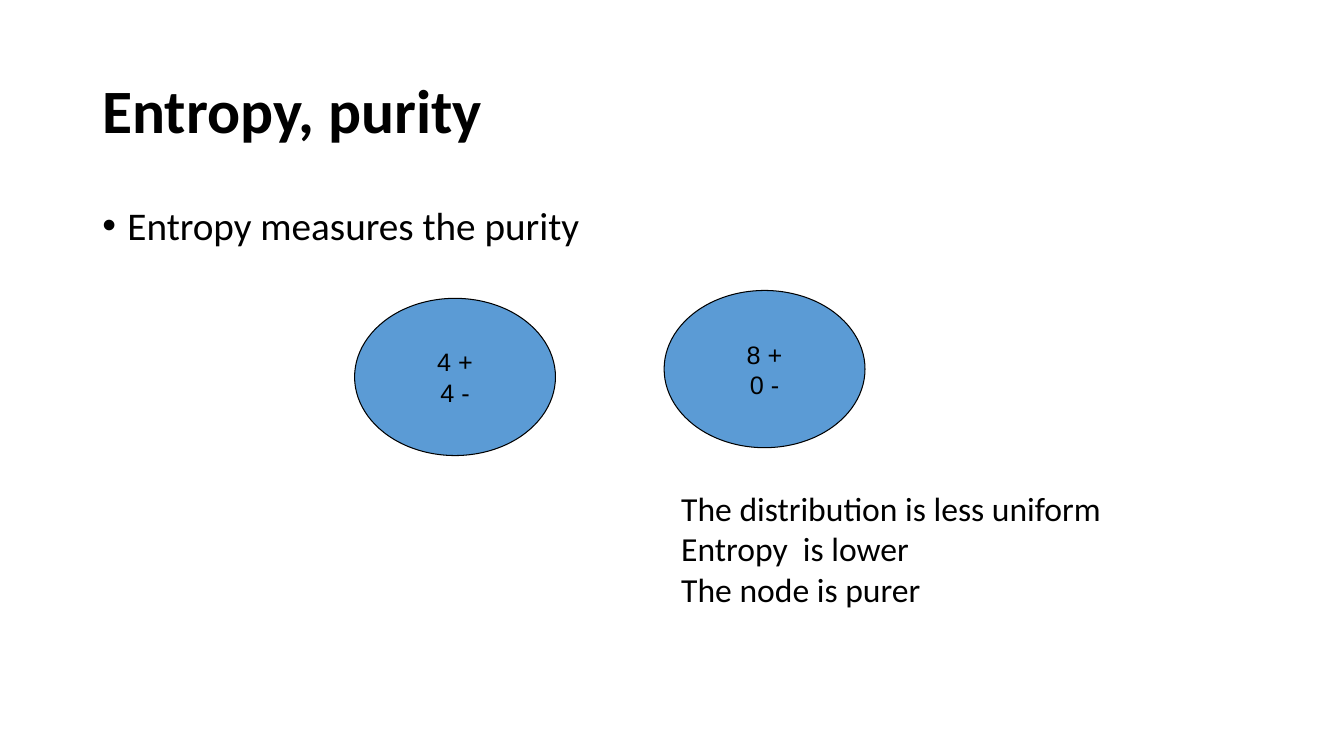
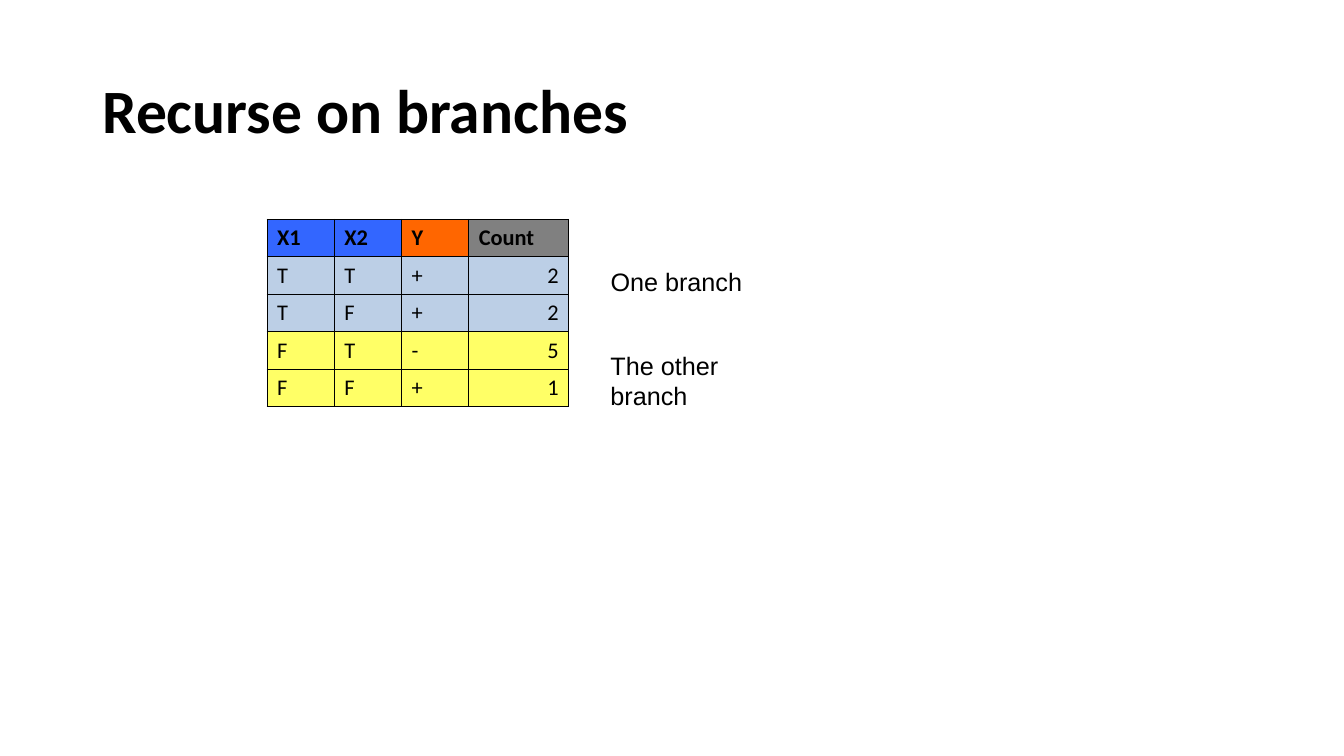
import dataclasses

import lxml.etree
import pptx
import pptx.dml.color
import pptx.enum.shapes
import pptx.enum.text
import pptx.oxml
import pptx.oxml.ns
import pptx.util

Pt = pptx.util.Pt
ALIGN = pptx.enum.text.PP_ALIGN
ANCHOR = pptx.enum.text.MSO_ANCHOR


@dataclasses.dataclass(frozen=True)
class Theme:
    ink: str = "000000"
    node: str = "5B9BD5"
    feature: str = "3366FF"
    label: str = "FF6600"
    count: str = "808080"
    first_branch: str = "BCCFE6"
    second_branch: str = "FFFF66"
    heading_font: str = "Calibri"
    note_font: str = "Arial"
    title_size: float = 44
    bullet_size: float = 28
    remark_size: float = 24
    note_size: float = 18
    table_size: float = 16
    outline: float = 0.75
    grid: float = 1


THEME = Theme()


def rgb(value):
    return pptx.dml.color.RGBColor.from_string(value)


def apply(target, values):
    for name, value in values.items():
        setattr(target, name, value)


def style_font(paragraph, face, size, bold=False):
    apply(paragraph.font, {"name": face, "size": Pt(size), "bold": bold})
    paragraph.font.color.rgb = rgb(THEME.ink)


def write_lines(frame, lines, face, size, bold=False, **paragraph_format):
    for index, line in enumerate(lines):
        paragraph = frame.paragraphs[0] if index == 0 else frame.add_paragraph()
        paragraph.text = line
        apply(paragraph, paragraph_format)
        style_font(paragraph, face, size, bold)


def add_text(slide, box, lines, face, size, bold=False, wrap=False,
             anchor=ANCHOR.TOP, **paragraph_format):
    frame = slide.shapes.add_textbox(*map(Pt, box)).text_frame
    apply(frame, {"word_wrap": wrap, "vertical_anchor": anchor})
    write_lines(frame, lines, face, size, bold, **paragraph_format)
    return frame


def add_titled_slide(deck, title):
    slide = deck.slides.add_slide(deck.slide_layouts[6])
    add_text(slide, (66, 28.8, 828, 104.4), [title], THEME.heading_font,
             THEME.title_size, bold=True, wrap=True, anchor=ANCHOR.MIDDLE,
             line_spacing=0.9)
    return slide


def add_bullet(slide, text):
    frame = slide.shapes.add_textbox(Pt(66), Pt(144), Pt(828), Pt(342.6)).text_frame
    frame.word_wrap = True
    properties = frame.paragraphs[0]._p.get_or_add_pPr()
    apply_indent = {"marL": Pt(18), "indent": -Pt(18)}
    for name, value in apply_indent.items():
        properties.set(name, str(int(value)))
    for tag, name, value in (("a:buFont", "typeface", "Arial"), ("a:buChar", "char", "•")):
        lxml.etree.SubElement(properties, pptx.oxml.ns.qn(tag)).set(name, value)
    write_lines(frame, [text], THEME.heading_font, THEME.bullet_size, line_spacing=0.9)


def add_node(slide, left, top, counts):
    node = slide.shapes.add_shape(pptx.enum.shapes.MSO_SHAPE.OVAL,
                                  Pt(left), Pt(top), Pt(143.5), Pt(112.3))
    node.shadow.inherit = False
    node.fill.solid()
    node.fill.fore_color.rgb = rgb(THEME.node)
    node.line.color.rgb = rgb(THEME.ink)
    node.line.width = Pt(THEME.outline)
    apply(node.text_frame, {"word_wrap": False, "vertical_anchor": ANCHOR.MIDDLE})
    write_lines(node.text_frame, counts, THEME.note_font, THEME.note_size,
                alignment=ALIGN.CENTER)


def add_borders(cell):
    properties = cell._tc.get_or_add_tcPr()
    for side in "LRTB":
        properties.append(pptx.oxml.parse_xml(
            f'<a:ln{side} {pptx.oxml.ns.nsdecls("a")} w="{int(Pt(THEME.grid))}">'
            f'<a:solidFill><a:srgbClr val="{THEME.ink}"/></a:solidFill></a:ln{side}>'))


def fill_cell(cell, text, color, bold, alignment):
    add_borders(cell)
    cell.fill.solid()
    cell.fill.fore_color.rgb = rgb(color)
    cell.vertical_anchor = ANCHOR.BOTTOM
    write_lines(cell.text_frame, [text], THEME.heading_font, THEME.table_size, bold,
                alignment=alignment)


def add_count_table(slide, left, top, widths, row_height, rows, colors):
    table = slide.shapes.add_table(len(rows), len(widths), Pt(left), Pt(top),
                                   Pt(sum(widths)), Pt(row_height * len(rows))).table
    apply(table, {"first_row": False, "horz_banding": False})
    for column, width in zip(table.columns, widths):
        column.width = Pt(width)
    for row_index, values in enumerate(rows):
        table.rows[row_index].height = Pt(row_height)
        for column_index, value in enumerate(values):
            fill_cell(table.cell(row_index, column_index), value,
                      colors[row_index][column_index], row_index == 0,
                      ALIGN.RIGHT if value.isdigit() else ALIGN.LEFT)


def build_entropy(deck):
    slide = add_titled_slide(deck, "Entropy, purity")
    add_bullet(slide, "Entropy measures the purity")
    add_node(slide, 253.3, 213.1, ["4 +", "4 -"])
    add_node(slide, 474.4, 207.5, ["8 +", "0 -"])
    add_text(slide, (479.5, 344.9, 317.5, 94.3),
             ["The distribution is less uniform", "Entropy  is lower", "The node is purer"],
             THEME.heading_font, THEME.remark_size)


def build_branches(deck):
    slide = add_titled_slide(deck, "Recurse on branches")
    rows = [("X1", "X2", "Y", "Count"), ("T", "T", "+", "2"), ("T", "F", "+", "2"),
            ("F", "T", "-", "5"), ("F", "F", "+", "1")]
    header = [THEME.feature, THEME.feature, THEME.label, THEME.count]
    branches = {"T": THEME.first_branch, "F": THEME.second_branch}
    colors = [header] + [[branches[row[0]]] * len(row) for row in rows[1:]]
    add_count_table(slide, 190.8, 156.7, (48, 48, 48, 71.5), 26.8, rows, colors)
    for top, width, note in ((186.5, 108.7, "One branch"), (246.7, 151.2, "The other branch")):
        add_text(slide, (429, top, width, 28.8), [note], THEME.note_font, THEME.note_size)


def main():
    deck = pptx.Presentation()
    apply(deck, {"slide_width": Pt(960), "slide_height": Pt(540)})
    build_entropy(deck)
    build_branches(deck)
    deck.save("out.pptx")


if __name__ == "__main__":
    main()
